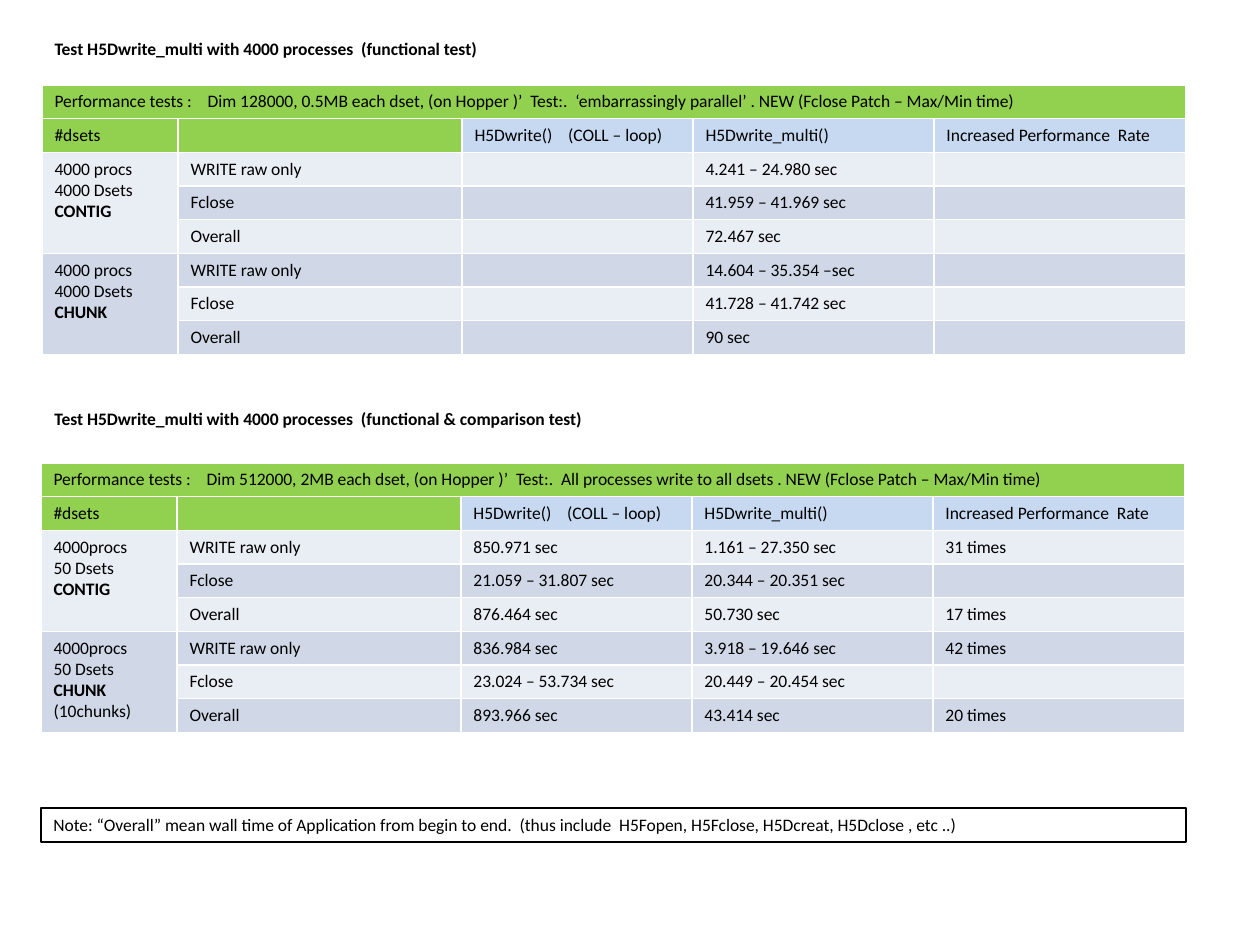
"""Build a slide with two H5Dwrite_multi performance tables and a note."""
import pptx
import pptx.dml.color
import pptx.enum.text
import pptx.util
from lxml import etree

PX = 914400 // 126
COLORS = {"green": "92D050", "blue": "C6D9F1", "light": "E9EDF4",
          "dark": "D0D8E8", "black": "000000"}
COLUMNS = [136, 284, 231, 241, 252]
ROW_HEIGHT = 33
HEADINGS = ["#dsets", "", "H5Dwrite()    (COLL – loop)", "H5Dwrite_multi()",
            "Increased Performance  Rate"]
STEPS = ["WRITE raw only", "Fclose", "Overall"]
BOLD_LINES = ("CONTIG", "CHUNK")

TITLES = [
    (42, 32, 462, "Test H5Dwrite_multi with 4000 processes  (functional test)"),
    (42, 402, 572, "Test H5Dwrite_multi with 4000 processes  (functional & comparison test)"),
]
TABLES = [
    {"at": (42, 85),
     "caption": "Performance tests :    Dim 128000, 0.5MB each dset, (on Hopper )’  Test:.  "
                "‘embarrassingly parallel’ . NEW (Fclose Patch – Max/Min time)",
     "groups": [
         ("4000 procs\n4000 Dsets\nCONTIG",
          [("", "4.241 – 24.980 sec", ""),
           ("", "41.959 – 41.969 sec", ""),
           ("", "72.467 sec", "")]),
         ("4000 procs\n4000 Dsets\nCHUNK",
          [("", "14.604 – 35.354 –sec", ""),
           ("", "41.728 – 41.742 sec", ""),
           ("", "90 sec", "")])]},
    {"at": (41, 463),
     "caption": "Performance tests :    Dim 512000, 2MB each dset, (on Hopper )’  Test:.  "
                "All processes write to all dsets . NEW (Fclose Patch – Max/Min time)",
     "groups": [
         ("4000procs\n50 Dsets\nCONTIG",
          [("850.971 sec", "1.161 – 27.350 sec", "31 times"),
           ("21.059 – 31.807 sec", "20.344 – 20.351 sec", ""),
           ("876.464 sec", "50.730 sec", "17 times")]),
         ("4000procs\n50 Dsets\nCHUNK\n(10chunks)",
          [("836.984 sec", "3.918 – 19.646 sec", "42 times"),
           ("23.024 – 53.734 sec", "20.449 – 20.454 sec", ""),
           ("893.966 sec", "43.414 sec", "20 times")])]},
]
NOTE = ("Note: “Overall” mean wall time of Application from begin to end.  "
        "(thus include  H5Fopen, H5Fclose, H5Dcreat, H5Dclose , etc ..)")


def rgb(name):
    return pptx.dml.color.RGBColor.from_string(COLORS[name])


def write(tf, text, size=10, bold=False, bold_lines=()):
    """Fill a text frame, one paragraph per line of text."""
    for i, line in enumerate(text.split("\n")):
        p = tf.add_paragraph() if i else tf.paragraphs[0]
        p.alignment = pptx.enum.text.PP_ALIGN.LEFT
        if not line:
            end = etree.SubElement(p._p, pptx.oxml.ns.qn("a:endParaRPr"))
            end.set("sz", str(size * 100))
            continue
        r = p.add_run()
        r.text = line
        r.font.name = "Calibri"
        r.font.size = pptx.util.Pt(size)
        r.font.bold = bold or line in bold_lines
        r.font.color.rgb = rgb("black")


def place(sp, left, top, width, height=34):
    sp.left, sp.top, sp.width, sp.height = (v * PX for v in (left, top, width, height))
    sp.text_frame.word_wrap = True
    sp.text_frame.vertical_anchor = pptx.enum.text.MSO_ANCHOR.TOP


def add_results(slide, at, caption, groups):
    rows = [[caption, "", "", "", ""], HEADINGS]
    fills = [["green"] * 5, ["green"] * 2 + ["blue"] * 3]
    for label, results in groups:
        for i, (step, values) in enumerate(zip(STEPS, results)):
            rows.append(["" if i else label, step, *values])
            fills.append([("light", "dark")[len(fills) % 2]] * 5)
    table = slide.shapes.add_table(
        len(rows), len(COLUMNS), at[0] * PX, at[1] * PX,
        sum(COLUMNS) * PX, len(rows) * ROW_HEIGHT * PX).table
    table.horz_banding = False
    for column, width in zip(table.columns, COLUMNS):
        column.width = width * PX
    for y, row in enumerate(rows):
        table.rows[y].height = ROW_HEIGHT * PX
        for x, text in enumerate(row):
            cell = table.cell(y, x)
            cell.fill.solid()
            cell.fill.fore_color.rgb = rgb(fills[y][x])
            write(cell.text_frame, text, bold_lines=BOLD_LINES)
    table.cell(0, 0).merge(table.cell(0, len(COLUMNS) - 1))
    for g in range(len(groups)):
        first = 2 + g * len(STEPS)
        table.cell(first, 0).merge(table.cell(first + len(STEPS) - 1, 0))


def main():
    prs = pptx.Presentation()
    prs.slide_width, prs.slide_height = 1260 * PX, 945 * PX
    slide = prs.slides.add_slide(prs.slide_layouts[5])
    boxes = [slide.shapes.title, slide.shapes.add_textbox(0, 0, PX, PX)]
    for sp, (left, top, width, text) in zip(boxes, TITLES):
        place(sp, left, top, width)
        write(sp.text_frame, text, bold=True)
    for spec in TABLES:
        add_results(slide, spec["at"], spec["caption"], spec["groups"])
    note = slide.shapes.add_textbox(0, 0, PX, PX)
    place(note, 41, 808, 1145)
    note.line.color.rgb = rgb("black")
    note.line.width = pptx.util.Pt(0.75)
    write(note.text_frame, NOTE)
    prs.save("out.pptx")


if __name__ == "__main__":
    main()
